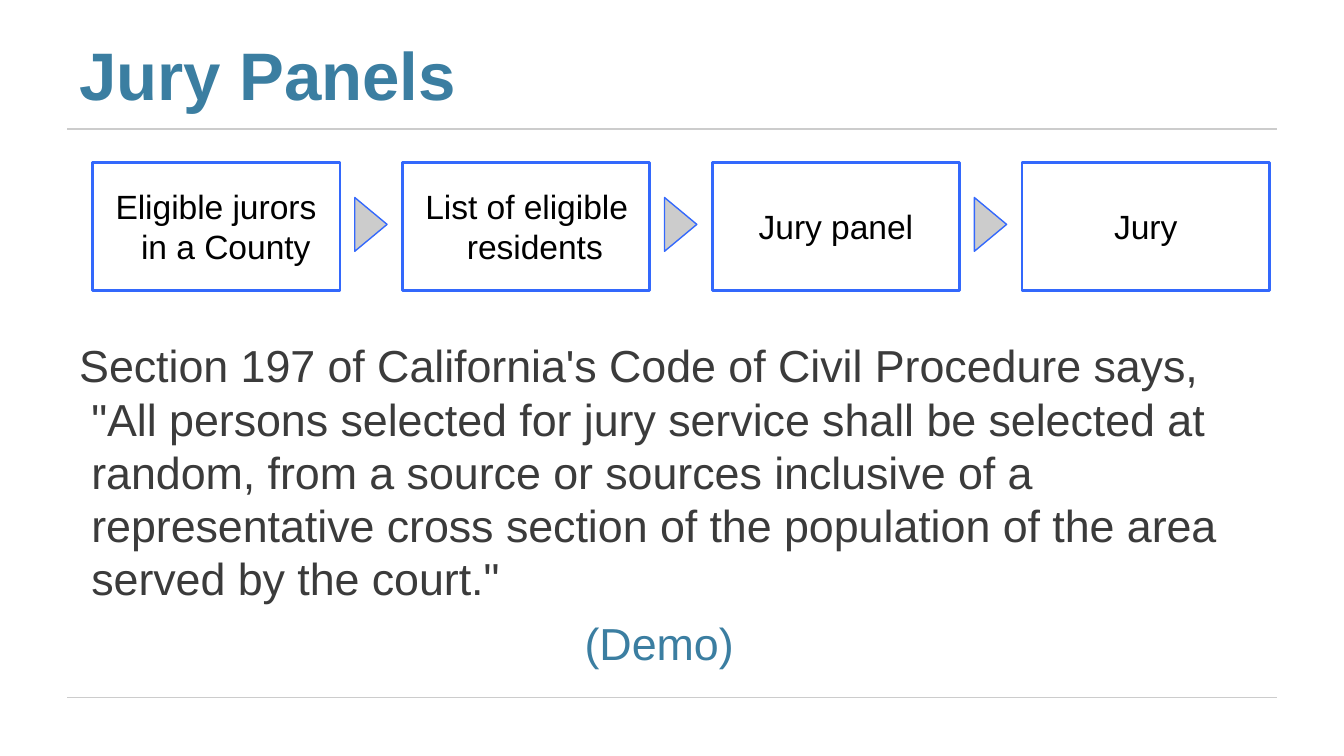
import pptx
import pptx.dml.color
import pptx.enum.shapes
import pptx.enum.text
import pptx.util
from lxml import etree

COLORS = {"title": "3B7EA1", "body": "3B3B3B", "label": "000000",
          "rule": "CCCCCC", "arrow": "CCCCCC", "outline": "3368FC"}
ALIGN = pptx.enum.text.PP_ALIGN
ANCHOR = pptx.enum.text.MSO_ANCHOR
inch = pptx.util.Inches
DRAWING = "{http://schemas.openxmlformats.org/drawingml/2006/main}"


def rgb(name):
    """Return the named colour of the palette."""
    return pptx.dml.color.RGBColor.from_string(COLORS[name])


def write(para, text, size=24, color="body", bold=False, align=ALIGN.LEFT,
          left=0, first=0, leading=None, before=0, tracking=-0.03):
    """Fill a paragraph with text; indents in inches, spacing in points."""
    para.text = text
    para.alignment = align
    para.space_before = pptx.util.Pt(before)
    if leading:
        para.line_spacing = pptx.util.Pt(leading)
    properties = para._p.get_or_add_pPr()
    properties.set("marL", str(inch(left)))
    properties.set("indent", str(inch(first)))
    for span in para.runs:
        span.font.name = "Arial"
        span.font.size = pptx.util.Pt(size)
        span.font.bold = bold
        span.font.color.rgb = rgb(color)
        span._r.get_or_add_rPr().set("spc", str(round(tracking * 100)))


deck = pptx.Presentation()
deck.slide_width = inch(10)
deck.slide_height = deck.slide_width * 9 // 16
page = deck.slides.add_slide(deck.slide_layouts[6])
shapes = page.shapes

# Rules above and below the content
margin = deck.slide_width * 5 // 100
for top in (0.96, 5.19):
    rule = shapes.add_connector(
        pptx.enum.shapes.MSO_CONNECTOR.STRAIGHT,
        margin, inch(top), deck.slide_width - margin, inch(top))
    rule.line.color.rgb = rgb("rule")
    rule.line.width = pptx.util.Pt(0.75)
    etree.SubElement(rule.element.spPr, DRAWING + "effectLst")

# Title and quotation
frames = []
for top, width, height in ((0.23, 2.95, 0.63), (2.5, 8.6, 2.5)):
    frame = shapes.add_textbox(inch(0.58), inch(top), inch(width), inch(height)).text_frame
    frame.word_wrap = True
    frame.margin_left = frame.margin_right = frame.margin_bottom = 0
    frame.margin_top = inch(0.02)
    frames.append(frame)
title, quotation = frames

write(title.paragraphs[0], "Jury Panels", size=36, color="title", bold=True, left=0.01)
write(quotation.paragraphs[0],
      "Section 197 of California's Code of Civil Procedure says, "
      "\"All persons selected for jury service shall be selected at "
      "random, from a source or sources inclusive of a "
      "representative cross section of the population of the area "
      "served by the court.\"",
      left=0.1, first=-0.09, leading=28.5)
write(quotation.add_paragraph(), "(Demo)", color="title",
      left=3.77, leading=28.5, before=6.5)

# Row of stages, each followed by an arrow except the last
row_left, row_top, pitch = 0.69, 1.21, 2.305
box_width, box_height = 1.84, 0.95
arrow_gap, arrow_width, arrow_height = 0.11, 0.24, 0.4
stages = [
    ("Eligible jurors\vin a County", {"left": 0.36, "first": -0.19}),
    ("List of eligible\vresidents", {"left": 0.48, "first": -0.31}),
    ("Jury panel", {"align": ALIGN.CENTER}),
    ("Jury", {"align": ALIGN.CENTER}),
]
for column, (label, layout) in enumerate(stages):
    left = row_left + column * pitch
    box = shapes.add_shape(pptx.enum.shapes.MSO_SHAPE.RECTANGLE, inch(left),
                           inch(row_top), inch(box_width), inch(box_height))
    box.shadow.inherit = False
    box.fill.background()
    box.line.color.rgb = rgb("outline")
    box.line.width = pptx.util.Pt(1.5)
    frame = box.text_frame
    frame.word_wrap = True
    frame.vertical_anchor = ANCHOR.MIDDLE
    frame.margin_left = frame.margin_right = 0
    frame.margin_top = frame.margin_bottom = 0
    write(frame.paragraphs[0], label, size=18, color="label", leading=21.5, **layout)

    if column < len(stages) - 1:
        x, y = left + box_width + arrow_gap, row_top + 0.26
        outline = shapes.build_freeform(inch(x), inch(y))
        outline.add_line_segments([
            (inch(x + arrow_width), inch(y + arrow_height / 2)),
            (inch(x), inch(y + arrow_height))], close=True)
        arrow = outline.convert_to_shape()
        arrow.shadow.inherit = False
        arrow.fill.solid()
        arrow.fill.fore_color.rgb = rgb("arrow")
        arrow.line.color.rgb = rgb("outline")
        arrow.line.width = pptx.util.Pt(0.75)

deck.save("out.pptx")
